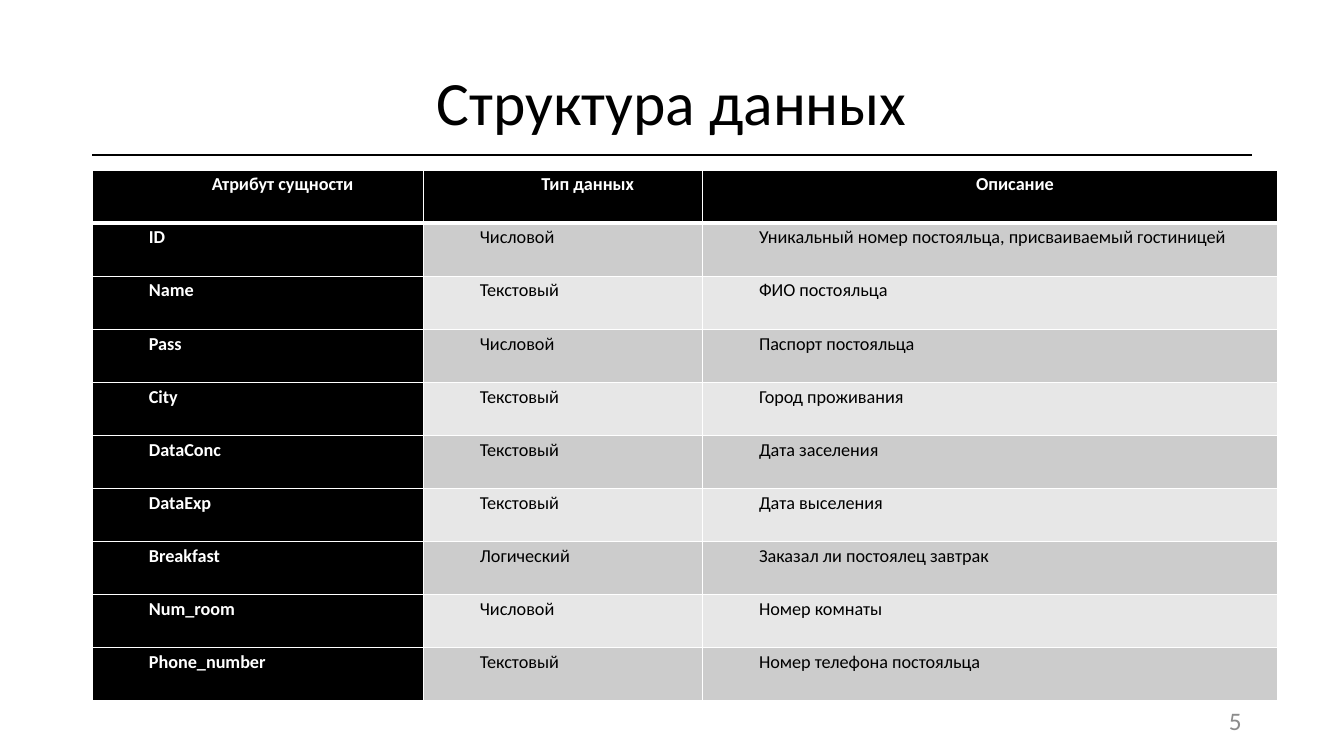
from dataclasses import dataclass

from lxml import etree
from pptx import Presentation
from pptx import util as u
from pptx.dml.color import RGBColor
from pptx.enum import shapes, text
from pptx.oxml import ns


@dataclass(frozen=True)
class Theme:
    font: str = "Calibri"
    dark: str = "000000"
    light: str = "FFFFFF"
    muted: str = "8C8C8C"
    bands: tuple = ("CCCCCC", "E7E7E7")
    title_size: float = 44
    number_size: float = 18
    table_size: float = 13


class SlideBuilder:
    """Draws styled elements on one slide, with lengths in points."""

    def __init__(self, slide, theme):
        self.slide = slide
        self.theme = theme

    def add_text(self, frame, words, size, color, align, bold=False, spacing=1.0):
        paragraph = frame.paragraphs[0]
        paragraph.alignment = align
        paragraph.line_spacing = spacing
        run = paragraph.add_run()
        run.text = words
        run.font.name = self.theme.font
        run.font.size = u.Pt(size)
        run.font.bold = bold
        run.font.color.rgb = RGBColor.from_string(color)
        return paragraph

    def title(self, words, left, top, width, height):
        shape = self.slide.shapes.title
        shape.left, shape.top = u.Pt(left), u.Pt(top)
        shape.width, shape.height = u.Pt(width), u.Pt(height)
        shape.text_frame.vertical_anchor = text.MSO_ANCHOR.MIDDLE
        self.add_text(shape.text_frame, words, self.theme.title_size,
                      self.theme.dark, text.PP_ALIGN.CENTER, spacing=0.9)

    def rule(self, left, top, width):
        line = self.slide.shapes.add_connector(
            shapes.MSO_CONNECTOR.STRAIGHT,
            u.Pt(left), u.Pt(top), u.Pt(left + width), u.Pt(top))
        line.line.color.rgb = RGBColor.from_string(self.theme.dark)
        line.line.width = u.Pt(1)
        etree.SubElement(line._element.spPr, ns.qn("a:effectLst"))

    def page_number(self, number, left, top, width, height):
        box = self.slide.shapes.add_textbox(
            u.Pt(left), u.Pt(top), u.Pt(width), u.Pt(height))
        box.text_frame.word_wrap = True
        box.text_frame.vertical_anchor = text.MSO_ANCHOR.MIDDLE
        self.add_text(box.text_frame, number, self.theme.number_size,
                      self.theme.muted, text.PP_ALIGN.RIGHT)

    def borders(self, cell, widths):
        properties = cell._tc.get_or_add_tcPr()
        for index, (side, width) in enumerate(widths.items()):
            line = etree.Element(ns.qn(f"a:ln{side}"), w=str(u.Pt(width)))
            fill = etree.SubElement(line, ns.qn("a:solidFill"))
            etree.SubElement(fill, ns.qn("a:srgbClr"), val=self.theme.light)
            properties.insert(index, line)

    def cell(self, cell, words, row, column):
        theme = self.theme
        header = row == 0
        strong = header or column == 0
        cell.margin_left = cell.margin_right = u.Pt(5)
        cell.margin_top = cell.margin_bottom = 0
        cell.fill.solid()
        cell.fill.fore_color.rgb = RGBColor.from_string(
            theme.dark if strong else theme.bands[(row - 1) % 2])
        align = text.PP_ALIGN.CENTER if header else text.PP_ALIGN.JUSTIFY
        paragraph = self.add_text(
            cell.text_frame, words, theme.table_size,
            theme.light if strong else theme.dark, align, strong, 1.15)
        paragraph._p.get_or_add_pPr().set("indent", str(u.Pt(35.4)))
        self.borders(cell, {"L": 1, "R": 1, "T": 3 if row == 1 else 1,
                            "B": 3 if header else 1})

    def table(self, rows, left, top, column_widths, row_height):
        table = self.slide.shapes.add_table(
            len(rows), len(column_widths), u.Pt(left), u.Pt(top),
            u.Pt(sum(column_widths)), u.Pt(row_height * len(rows))).table
        for column, width in zip(table.columns, column_widths):
            column.width = u.Pt(width)
        for row_index, values in enumerate(rows):
            table.rows[row_index].height = u.Pt(row_height)
            for column_index, words in enumerate(values):
                self.cell(table.cell(row_index, column_index), words,
                          row_index, column_index)


ATTRIBUTES = [
    ("Атрибут сущности", "Тип данных", "Описание"),
    ("ID", "Числовой", "Уникальный номер постояльца, присваиваемый гостиницей"),
    ("Name", "Текстовый", "ФИО постояльца"),
    ("Pass", "Числовой", "Паспорт постояльца"),
    ("City", "Текстовый", "Город проживания"),
    ("DataConc", "Текстовый", "Дата заселения"),
    ("DataExp", "Текстовый", "Дата выселения"),
    ("Breakfast", "Логический", "Заказал ли постоялец завтрак"),
    ("Num_room", "Числовой", "Номер комнаты"),
    ("Phone_number", "Текстовый", "Номер телефона постояльца"),
]


def main():
    presentation = Presentation()
    presentation.slide_width, presentation.slide_height = u.Pt(960), u.Pt(540)
    slide = presentation.slides.add_slide(presentation.slide_layouts[5])
    builder = SlideBuilder(slide, Theme())
    left, width = 66, 828
    builder.rule(left, 110.7, width)
    builder.title("Структура данных", left, 28.8, width, 92.8)
    builder.page_number("5", left + width - 216, 500.5, 216, 28.8)
    builder.table(ATTRIBUTES, left, 121.6, (236.4, 199.4, 411), 37.9)
    presentation.save("out.pptx")


if __name__ == "__main__":
    main()
